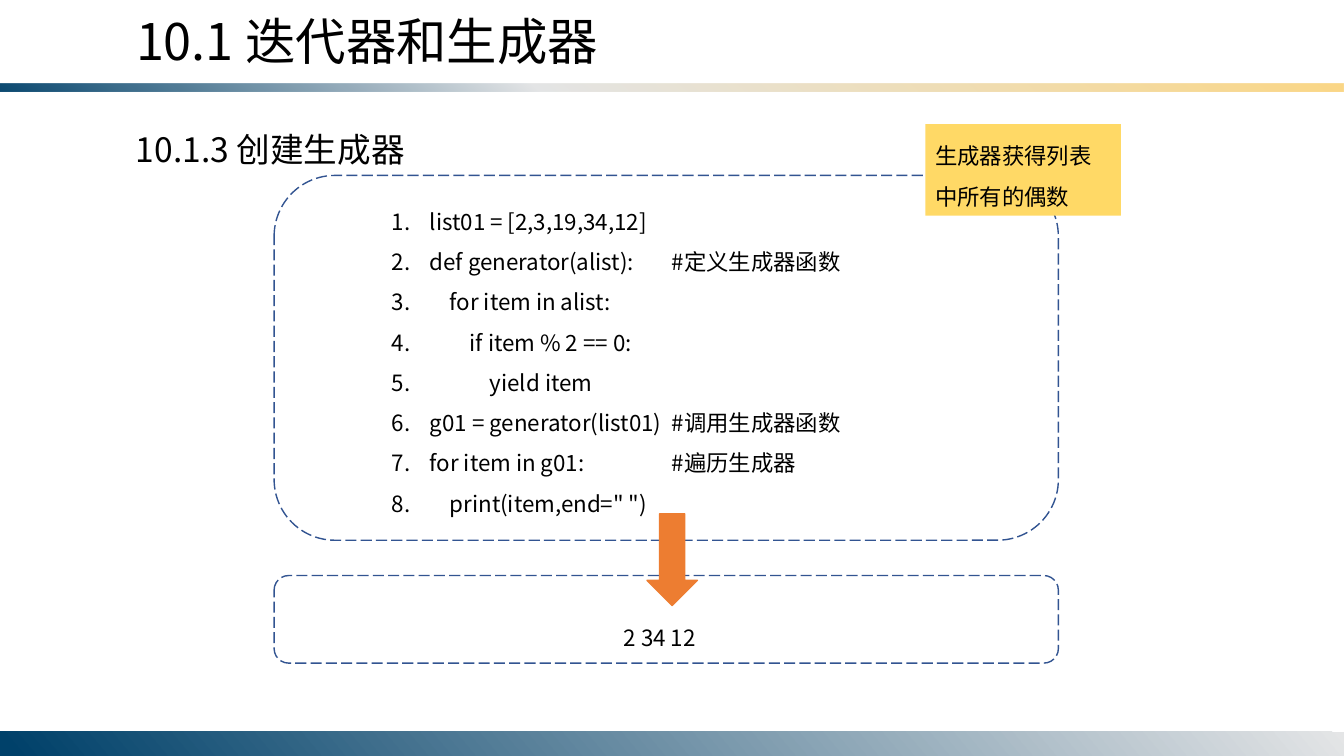
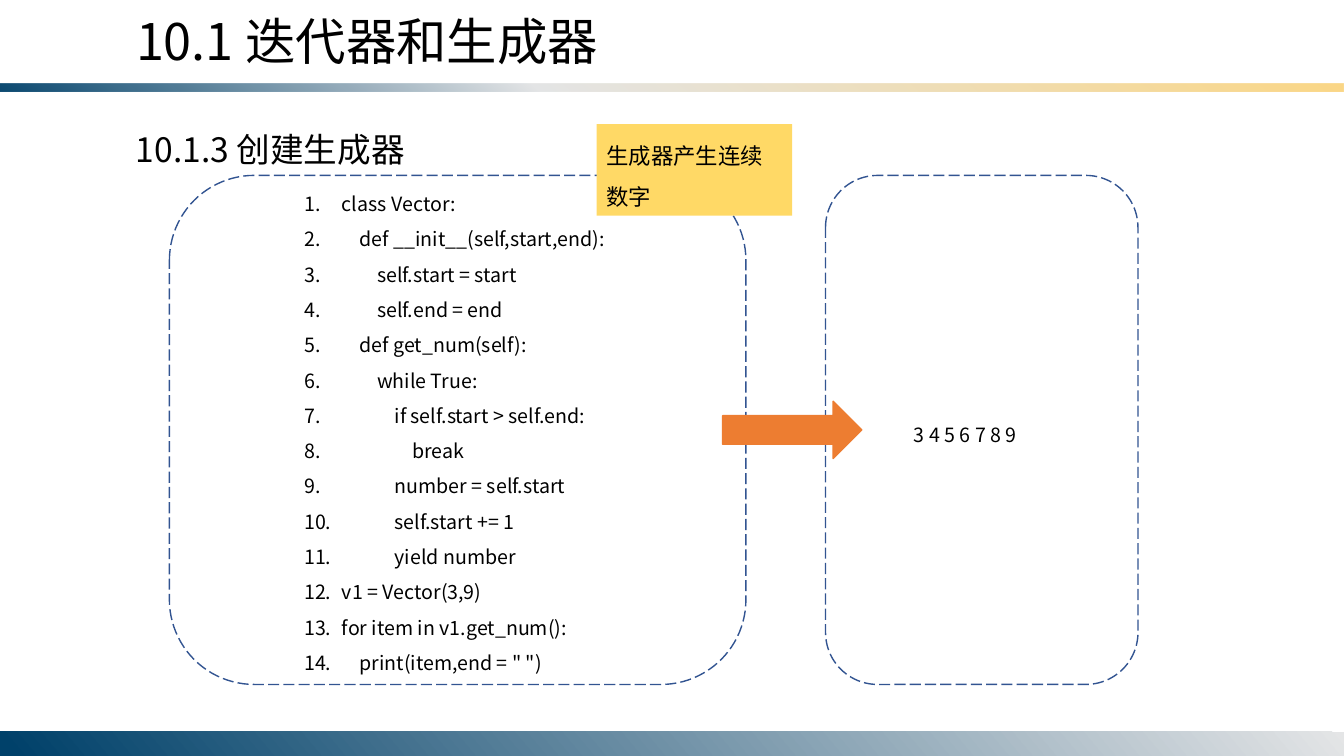
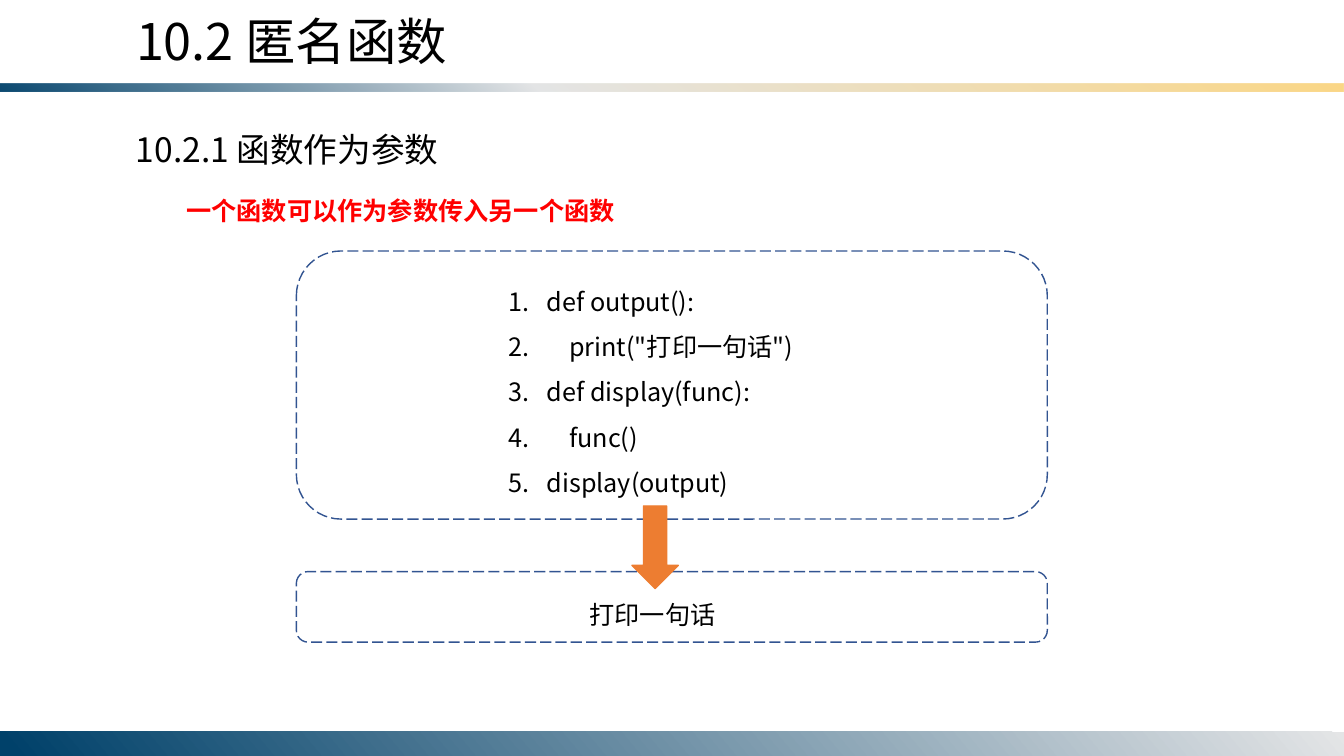
from dataclasses import dataclass

from lxml.etree import SubElement
from pptx import Presentation
from pptx.dml.color import RGBColor
from pptx.enum.dml import MSO_LINE
from pptx.enum.shapes import MSO_SHAPE
from pptx.enum.text import MSO_ANCHOR, MSO_AUTO_SIZE, PP_ALIGN
from pptx.oxml.ns import qn
from pptx.util import Pt

FONT = "Noto Sans CJK SC"
BLACK, RED, NAVY, ORANGE, YELLOW = "000000", "FF0000", "325491", "ED7D31", "FFD966"
W, H = 960, 540
CODE_INDENT = 27
COMMENT_TAB = 200


@dataclass(frozen=True)
class Box:
    x: float
    y: float
    w: float
    h: float

    def pts(self) -> tuple:
        return Pt(self.x), Pt(self.y), Pt(self.w), Pt(self.h)


@dataclass(frozen=True)
class Example:
    size: int
    code: str
    code_box: Box
    code_panel: Box
    result: str
    result_box: Box
    result_panel: Box
    arrow: MSO_SHAPE
    arrow_box: Box


@dataclass(frozen=True)
class Page:
    title: str
    heading: str
    example: Example
    note: str = ""
    note_x: float = 0
    claim: str = ""


def rgb(color: str) -> RGBColor:
    return RGBColor.from_string(color)


def write(sp, text: str, size: float, color: str = BLACK, bold: bool = False,
          spacing: float = 1.0, indent: float = 0, numbered: bool = False) -> None:
    tf = sp.text_frame
    tf.word_wrap = True
    tf.auto_size = MSO_AUTO_SIZE.SHAPE_TO_FIT_TEXT
    tf.vertical_anchor = MSO_ANCHOR.TOP
    for i, line in enumerate(text.split("\n")):
        p = tf.add_paragraph() if i else tf.paragraphs[0]
        p.alignment = PP_ALIGN.LEFT
        p.line_spacing = spacing
        pPr = p._p.get_or_add_pPr()
        if indent:
            pPr.set("indent", str(Pt(indent)))
        if numbered:
            pPr.set("marL", str(Pt(CODE_INDENT)))
            pPr.set("indent", str(-Pt(CODE_INDENT)))
            SubElement(pPr, qn("a:buFont"), typeface="+mj-lt")
            SubElement(pPr, qn("a:buAutoNum"), type="arabicPeriod")
            if "\t" in line:
                tabs = SubElement(pPr, qn("a:tabLst"))
                SubElement(tabs, qn("a:tab"), pos=str(Pt(COMMENT_TAB)), algn="l")
        r = p.add_run()
        r.text = line
        r.font.size = Pt(size)
        r.font.bold = bold
        r.font.color.rgb = rgb(color)
        r.font.name = FONT
        SubElement(r._r.get_or_add_rPr(), qn("a:ea"), typeface=FONT)


def add_text(s, box: Box, text: str, size: float, **fmt) -> None:
    write(s.shapes.add_textbox(*box.pts()), text, size, **fmt)


def add_shape(s, kind: MSO_SHAPE, box: Box, fill: str = "", line: str = ""):
    sp = s.shapes.add_shape(kind, *box.pts())
    sp.shadow.inherit = False
    if fill:
        sp.fill.solid()
        sp.fill.fore_color.rgb = rgb(fill)
    else:
        sp.fill.background()
    if line:
        sp.line.color.rgb = rgb(line)
        sp.line.width = Pt(1)
    else:
        sp.line.fill.background()
    return sp


def add_panel(s, box: Box) -> None:
    sp = add_shape(s, MSO_SHAPE.ROUNDED_RECTANGLE, box, line=NAVY)
    sp.line.dash_style = MSO_LINE.LONG_DASH


def add_band(s, master, number: int, box: Box, stops: list, angle: float,
             flip: bool = False) -> None:
    sp = add_shape(s, MSO_SHAPE.RECTANGLE, box)
    sp.fill.gradient()
    sp.fill.gradient_angle = 360 - angle
    gs_list = next(sp.element.iter(qn("a:gsLst")))
    for gs in list(gs_list):
        gs_list.remove(gs)
    for pos, color, alpha in stops:
        gs = SubElement(gs_list, qn("a:gs"), pos=str(pos * 1000))
        clr = SubElement(gs, qn("a:srgbClr"), val=color)
        if alpha < 100:
            SubElement(clr, qn("a:alpha"), val=str(alpha * 1000))
    if flip:
        next(sp.element.iter(qn("a:xfrm"))).set("flipV", "1")
    next(sp.element.iter(qn("p:cNvPr"))).set("id", str(number))
    master.shapes.element.append(sp.element)


def add_bands(s, master) -> None:
    add_band(s, master, 101, Box(0, 59.5, W, 6),
             [(0, "00416A", 95), (40, "E4E5E6", 100), (100, "FBD786", 100)], 50, flip=True)
    add_band(s, master, 102, Box(0, 522.5, W, 17.5),
             [(0, "E4E5E6", 100), (99, "00416A", 100)], 140)


def add_example(s, ex: Example) -> None:
    add_text(s, ex.code_box, ex.code, ex.size, spacing=1.5, numbered=True)
    add_panel(s, ex.code_panel)
    add_text(s, ex.result_box, ex.result, ex.size, spacing=1.5)
    add_panel(s, ex.result_panel)
    add_shape(s, ex.arrow, ex.arrow_box, ORANGE, ORANGE)


def add_page(prs, page: Page):
    s = prs.slides.add_slide(prs.slide_layouts[5])
    title = s.shapes.title
    title.left, title.top, title.width, title.height = Box(90, 3.6, 440.6, 51).pts()
    write(title, page.title, 36)
    add_text(s, Box(90, 88.6, 371.5, 36), page.heading, 24)
    if page.claim:
        add_text(s, Box(90, 125.3, 756, 39.6), page.claim, 18, color=RED, bold=True,
                 spacing=1.5, indent=36)
    add_example(s, page.example)
    if page.note:
        note = add_shape(s, MSO_SHAPE.RECTANGLE, Box(page.note_x, 88.6, 139.7, 65.5), YELLOW)
        write(note, page.note, 16, spacing=1.5)
    return s


EVEN_CODE = """list01 = [2,3,19,34,12]
def generator(alist):\t#定义生成器函数
    for item in alist:
        if item % 2 == 0:
            yield item
g01 = generator(list01)\t#调用生成器函数
for item in g01:\t#遍历生成器
    print(item,end=" ")"""

VECTOR_CODE = """class Vector:
    def __init__(self,start,end):
        self.start = start
        self.end = end
    def get_num(self):
        while True:
            if self.start > self.end:
                break
            number = self.start
            self.start += 1
            yield number
v1 = Vector(3,9)
for item in v1.get_num():
    print(item,end = " ")"""

FUNC_CODE = """def output():
    print("打印一句话")
def display(func):
    func()
display(output)"""

PAGES = [
    Page("10.1 迭代器和生成器", "10.1.3 创建生成器",
         Example(16, EVEN_CODE, Box(272.9, 135.4, 414, 239.8), Box(195.8, 125.3, 560.2, 260.6),
                 "2 34 12", Box(438.5, 432.7, 74.2, 36), Box(195.8, 411.1, 560.2, 62.6),
                 MSO_SHAPE.DOWN_ARROW, Box(462.2, 367, 36, 65.5)),
         note="生成器获得列表中所有的偶数", note_x=661),
    Page("10.1 迭代器和生成器", "10.1.3 创建生成器",
         Example(14, VECTOR_CODE, Box(210.2, 125.3, 269.3, 363.6), Box(121, 125.3, 411.8, 363.6),
                 "3 4 5 6 7 8 9", Box(645.8, 290.2, 110.9, 32.4), Box(589.7, 125.3, 223.2, 363.6),
                 MSO_SHAPE.RIGHT_ARROW, Box(516.2, 286.6, 99.4, 41)),
         note="生成器产生连续数字", note_x=426.2),
    Page("10.2 匿名函数", "10.2.1 函数作为参数",
         Example(18, FUNC_CODE, Box(356.4, 190, 229, 170.6), Box(211.7, 179.3, 536.4, 191.5),
                 "打印一句话", Box(414, 414, 108, 39.6), Box(211.7, 408.3, 536.4, 50.4),
                 MSO_SHAPE.DOWN_ARROW, Box(451.4, 361.4, 33.1, 59)),
         claim="一个函数可以作为参数传入另一个函数"),
]


def main() -> None:
    prs = Presentation()
    prs.slide_width, prs.slide_height = Pt(W), Pt(H)
    slides = [add_page(prs, page) for page in PAGES]
    add_bands(slides[0], prs.slide_master)
    prs.save("out.pptx")


if __name__ == "__main__":
    main()
